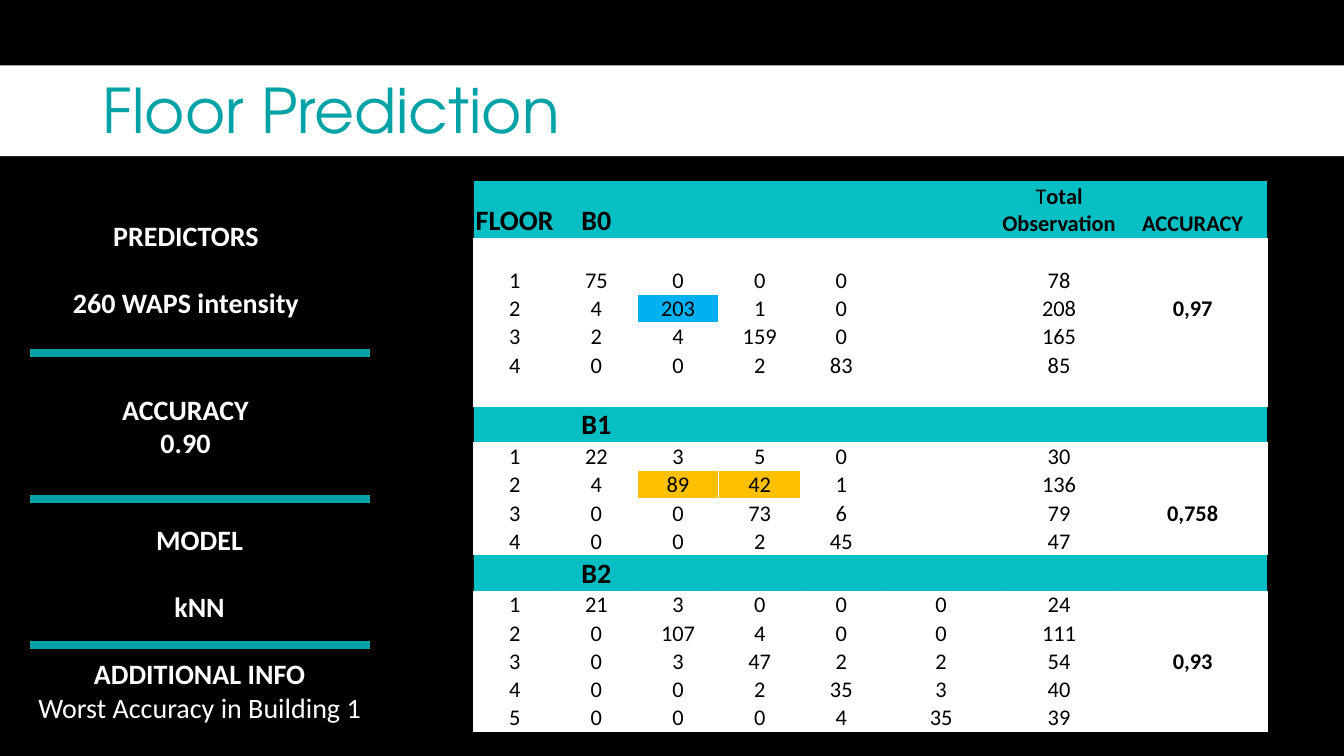
from lxml.etree import SubElement
from pptx import Presentation
from pptx.dml.color import RGBColor
from pptx.enum.shapes import MSO_CONNECTOR, MSO_SHAPE
from pptx.enum.text import MSO_ANCHOR, PP_ALIGN
from pptx.oxml.ns import qn
from pptx.util import Pt

PX = 9144  # 100 px to the inch
COLORS = {"black": "000000", "white": "FFFFFF", "title": "02A2A6",
          "band": "06BFC5", "blue": "00B0F0", "amber": "FFC000"}

# Each panel: box, heading, detail, gap before the detail (pt), detail in bold
PANELS = [
    ((-37, 185, 443, 164), "PREDICTORS", "260 WAPS intensity", 24, True),
    ((59, 350, 250, 145), "ACCURACY", "0.90", 0, True),
    ((73, 496, 250, 145), "MODEL", "kNN", 24, True),
    ((9, 600, 378, 170), "ADDITIONAL INFO", "Worst Accuracy in Building 1", 0, False),
]
DIVIDERS = [350, 495, 640]

COLUMNS = [81, 81, 81, 81, 81, 117, 117, 148]
ROWS = [
    ["FLOOR", "B0", "", "", "", "", "Total Observation", "ACCURACY"],
    [""] * 8,
    ["1", "75", "0", "0", "0", "", "78", ""],
    ["2", "4", "203", "1", "0", "", "208", "0,97"],
    ["3", "2", "4", "159", "0", "", "165", ""],
    ["4", "0", "0", "2", "83", "", "85", ""],
    [""] * 8,
    ["", "B1", "", "", "", "", "", ""],
    ["1", "22", "3", "5", "0", "", "30", ""],
    ["2", "4", "89", "42", "1", "", "136", ""],
    ["3", "0", "0", "73", "6", "", "79", "0,758"],
    ["4", "0", "0", "2", "45", "", "47", ""],
    ["", "B2", "", "", "", "", "", ""],
    ["1", "21", "3", "0", "0", "0", "24", ""],
    ["2", "0", "107", "4", "0", "0", "111", ""],
    ["3", "0", "3", "47", "2", "2", "54", "0,93"],
    ["4", "0", "0", "2", "35", "3", "40", ""],
    ["5", "0", "0", "0", "4", "35", "39", ""],
]
BAND_HEIGHTS = {0: 56, 7: 35, 12: 35}
ROW_HEIGHT = 28
HIGHLIGHTS = {(3, 2): "blue", (9, 2): "amber", (9, 3): "amber"}


def emu(*lengths):
    return [length * PX for length in lengths]


def rgb(name):
    return RGBColor.from_string(COLORS[name])


def format_run(r, size, color, bold=False, font="Calibri"):
    r.font.size = Pt(size)
    r.font.name = font
    r.font.bold = bold
    r.font.color.rgb = rgb(color)


def add_title(s, box):
    # White strip
    x, y, w, h = box
    sp = s.shapes.add_shape(MSO_SHAPE.RECTANGLE, *emu(*box))
    sp.shadow.inherit = False
    sp.fill.solid()
    sp.fill.fore_color.rgb = rgb("white")
    sp.line.fill.background()
    # Title text
    tf = s.shapes.add_textbox(*emu(x + 92, y - 25, w - 183, h + 55)).text_frame
    tf.word_wrap = True
    tf.vertical_anchor = MSO_ANCHOR.MIDDLE
    tf.text = "Floor Prediction"
    p = tf.paragraphs[0]
    p.line_spacing = 0.9
    format_run(p.runs[0], 44, "title", font="TeX Gyre Adventor")


def add_panel(s, box, heading, detail, gap, detail_bold):
    sp = s.shapes.add_shape(MSO_SHAPE.ROUNDED_RECTANGLE, *emu(*box))
    sp.shadow.inherit = False
    sp.fill.background()
    sp.line.fill.background()
    tf = sp.text_frame
    tf.word_wrap = True
    tf.vertical_anchor = MSO_ANCHOR.MIDDLE
    tf.text = f"{heading}\n{detail}"
    for p, bold in zip(tf.paragraphs, (True, detail_bold)):
        p.alignment = PP_ALIGN.CENTER
        format_run(p.runs[0], 20, "white", bold)
    tf.paragraphs[1].space_before = Pt(gap)


def add_divider(s, x, y, w):
    line = s.shapes.add_connector(MSO_CONNECTOR.STRAIGHT, *emu(x, y, x + w, y))
    line.line.color.rgb = rgb("title")
    line.line.width = Pt(6)
    SubElement(line._element.spPr, qn("a:effectLst"))


def set_borders(cell, row):
    # Bands have no borders, nor do the edges that touch them
    bare = {"L": row in BAND_HEIGHTS, "R": row in BAND_HEIGHTS}
    bare["T"] = bare["L"] or row - 1 in BAND_HEIGHTS
    bare["B"] = bare["L"] or row + 1 in BAND_HEIGHTS
    tc_pr = cell._tc.get_or_add_tcPr()
    for side, empty in bare.items():
        ln = SubElement(tc_pr, qn(f"a:ln{side}"), w=str(Pt(1)))
        if empty:
            SubElement(ln, qn("a:noFill"))
        else:
            fill = SubElement(ln, qn("a:solidFill"))
            SubElement(fill, qn("a:srgbClr"), val=COLORS["white"])


def fill_cell(cell, row, col, text):
    band = row in BAND_HEIGHTS
    set_borders(cell, row)
    cell.fill.solid()
    cell.fill.fore_color.rgb = rgb(HIGHLIGHTS.get((row, col), "band" if band else "white"))
    cell.margin_left = cell.margin_right = cell.margin_top = PX
    cell.margin_bottom = 0
    cell.vertical_anchor = MSO_ANCHOR.BOTTOM
    p = cell.text_frame.paragraphs[0]
    p.alignment = PP_ALIGN.CENTER
    if not text:
        SubElement(p._p, qn("a:endParaRPr"), sz="1600")
        return
    # The first letter of the total heading is in regular weight
    parts = [text[:1], text[1:]] if text.startswith("Total") else [text]
    for part in parts:
        r = p.add_run()
        r.text = part
        format_run(r, 20 if band and col < 2 else 16, "black",
                   (band or col == 7) and part != "T")


def add_floor_table(s, x, y):
    heights = [BAND_HEIGHTS.get(i, ROW_HEIGHT) for i in range(len(ROWS))]
    frame = s.shapes.add_table(len(ROWS), len(COLUMNS),
                               *emu(x, y, sum(COLUMNS), sum(heights)))
    table = frame.table
    table.first_row = table.horz_banding = False
    for column, width in zip(table.columns, COLUMNS):
        column.width = width * PX
    for i, values in enumerate(ROWS):
        table.rows[i].height = heights[i] * PX
        for j, text in enumerate(values):
            fill_cell(table.cell(i, j), i, j, text)


def main():
    prs = Presentation()
    prs.slide_width, prs.slide_height = emu(1333, 750)
    s = prs.slides.add_slide(prs.slide_layouts[6])
    s.background.fill.solid()
    s.background.fill.fore_color.rgb = rgb("black")
    add_title(s, (0, 65, 1333, 90))
    for panel in PANELS:
        add_panel(s, *panel)
    add_floor_table(s, 470, 180)
    for y in DIVIDERS:
        add_divider(s, 30, y, 337)
    prs.save("out.pptx")


if __name__ == "__main__":
    main()
